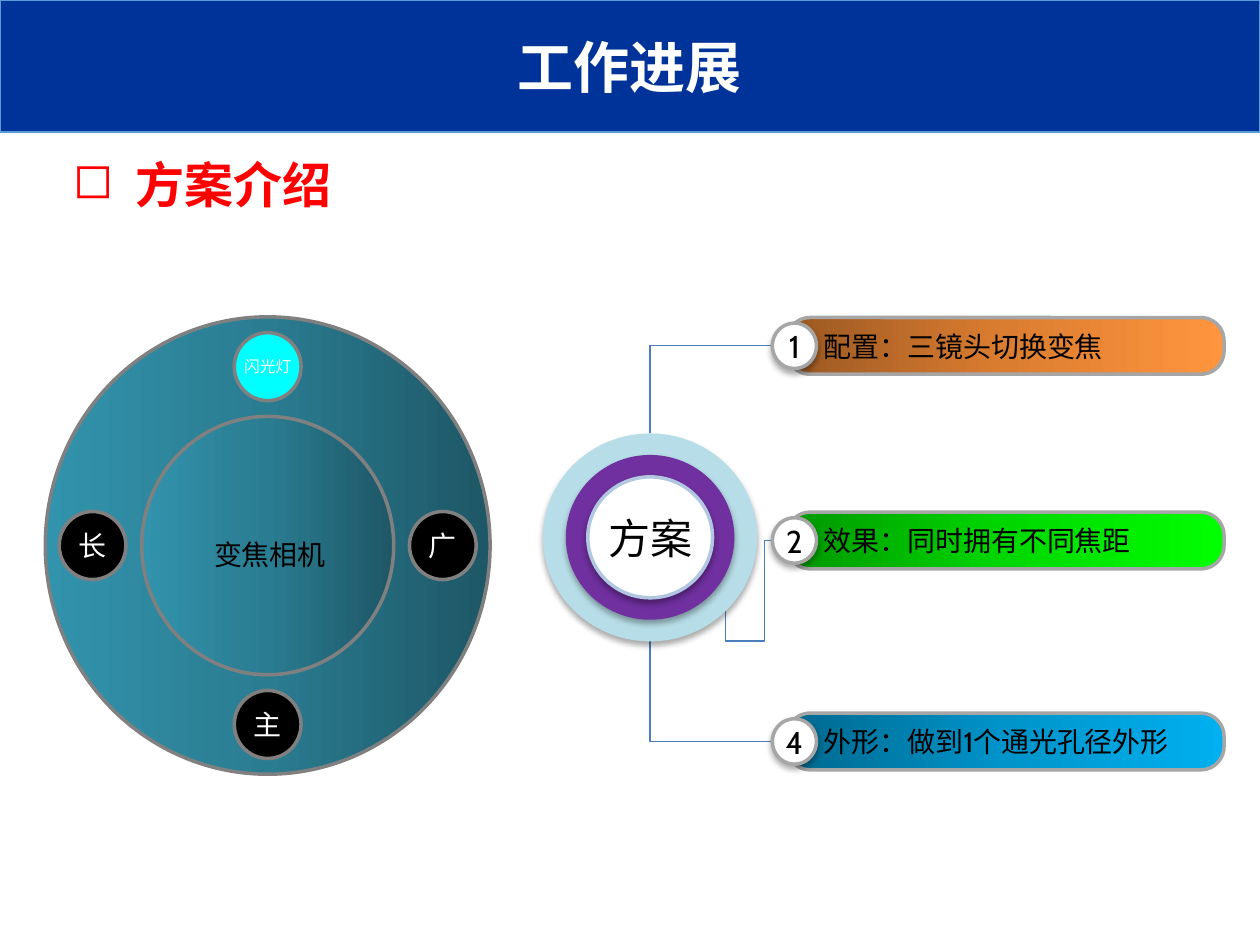
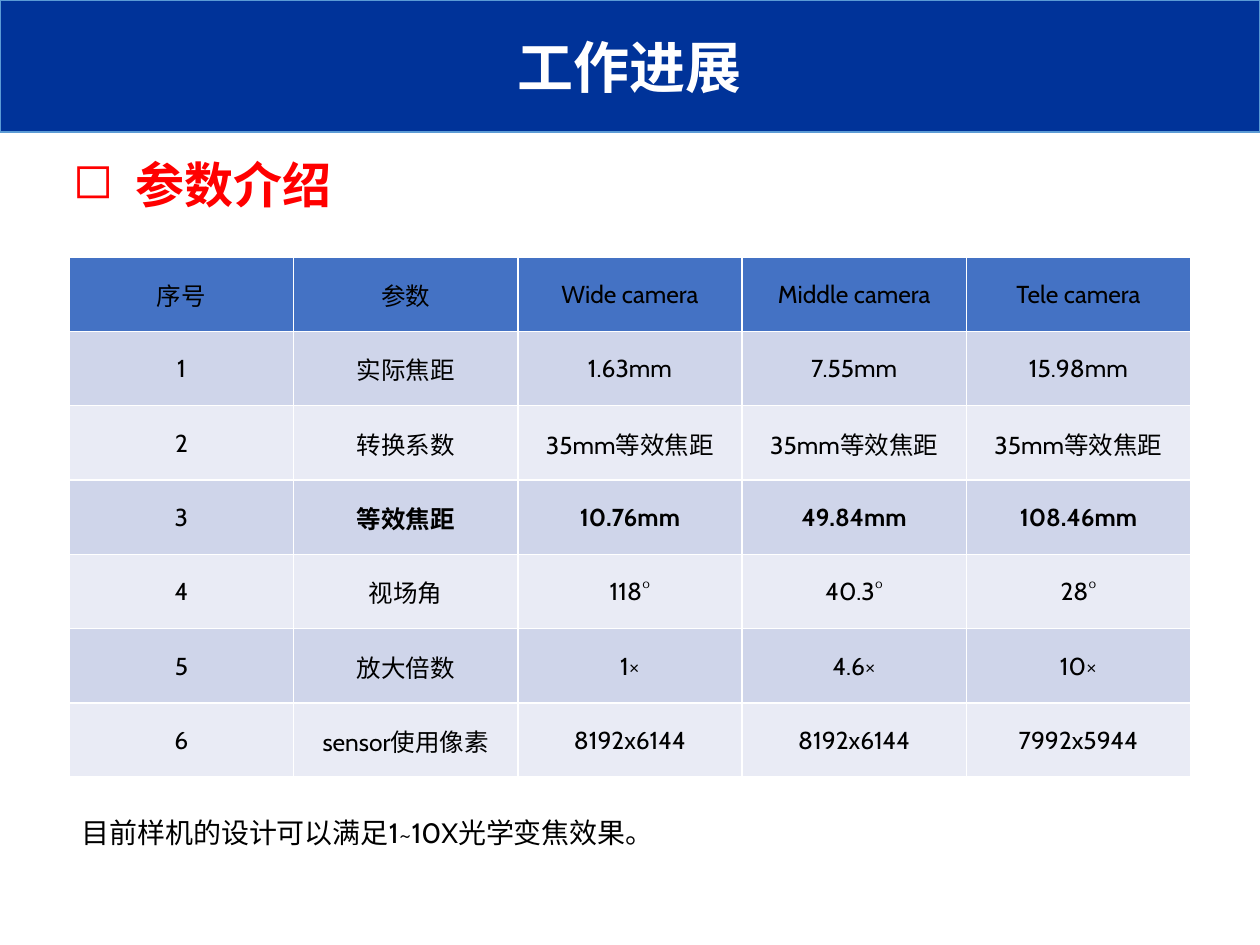
from lxml import etree
from pptx import Presentation
from pptx.dml.color import RGBColor
from pptx.enum.shapes import MSO_CONNECTOR, MSO_SHAPE
from pptx.enum.text import MSO_ANCHOR, MSO_AUTO_SIZE, PP_ALIGN
from pptx.oxml.ns import qn
from pptx.util import Inches, Pt

LEFT, CENTER = PP_ALIGN.LEFT, PP_ALIGN.CENTER
TOP, MIDDLE = MSO_ANCHOR.TOP, MSO_ANCHOR.MIDDLE
FIXED = MSO_AUTO_SIZE.NONE
OVAL, ROUNDED = MSO_SHAPE.OVAL, MSO_SHAPE.ROUNDED_RECTANGLE
ELBOW = MSO_CONNECTOR.ELBOW

# Grid: 100 columns by 75 rows of square cells
WIDTH, HEIGHT = Inches(10), Inches(7.5)
CELL = WIDTH / 100

# Fonts and colours
LATIN, CHINESE = "Cabin", "Noto Sans CJK SC"
BLACK = RGBColor(0x00, 0x00, 0x00)
WHITE = RGBColor(0xFF, 0xFF, 0xFF)
RED = RGBColor(0xFF, 0x00, 0x00)
BAND_BLUE = RGBColor(0x00, 0x33, 0x99)
BAND_EDGE = RGBColor(0x5B, 0x9B, 0xD5)
GREY = RGBColor(0x80, 0x80, 0x80)
SILVER = RGBColor(0xA6, 0xA6, 0xA6)
CYAN = RGBColor(0x00, 0xFF, 0xFF)
PALE_BLUE = RGBColor(0xB7, 0xDE, 0xE8)
PURPLE = RGBColor(0x70, 0x30, 0xA0)
HUB_EDGE = RGBColor(0xB0, 0xC6, 0xE1)
LINK_BLUE = RGBColor(0x4B, 0x7E, 0xBC)
HEADER_BLUE = RGBColor(0x44, 0x72, 0xC4)
ROW_DARK = RGBColor(0xCF, 0xD5, 0xEA)
ROW_LIGHT = RGBColor(0xE9, 0xEB, 0xF5)
TEAL_SHADES = [RGBColor(0x1E, 0x57, 0x66), RGBColor(0x2A, 0x7C, 0x91), RGBColor(0x32, 0x93, 0xAC)]
ORANGE_SHADES = [RGBColor(0x9A, 0x58, 0x22), RGBColor(0xDB, 0x7D, 0x30), RGBColor(0xFF, 0x95, 0x3E)]
GREEN_SHADES = [RGBColor(0x00, 0x97, 0x00), RGBColor(0x00, 0xD7, 0x00), RGBColor(0x00, 0xFF, 0x00)]
BLUE_SHADES = [RGBColor(0x00, 0x68, 0x8E), RGBColor(0x00, 0x94, 0xCA), RGBColor(0x00, 0xB0, 0xF0)]

# Content
TITLE = "工作进展"
PLANS = [  # badge, text, shades, centre row
    ("1", "配置：三镜头切换变焦", ORANGE_SHADES, 27.45),
    ("2", "效果：同时拥有不同焦距", GREEN_SHADES, 42.9),
    ("4", "外形：做到1个通光孔径外形", BLUE_SHADES, 58.85),
]
PARAMETERS = [
    ("序号", "参数", "Wide camera", "Middle camera", "Tele camera"),
    ("1", "实际焦距", "1.63mm", "7.55mm", "15.98mm"),
    ("2", "转换系数") + ("35mm等效焦距",) * 3,
    ("3", "等效焦距", "10.76mm", "49.84mm", "108.46mm"),
    ("4", "视场角", "118°", "40.3°", "28°"),
    ("5", "放大倍数", "1×", "4.6×", "10×"),
    ("6", "sensor使用像素", "8192x6144", "8192x6144", "7992x5944"),
]
KEY_ROW = 3


def grid(*cells):
    return [round(cell * CELL) for cell in cells]


def add_child(parent, tag, **attributes):
    child = etree.SubElement(parent, qn(tag))
    for name, value in attributes.items():
        child.set(name, str(value))
    return child


def write(frame, text, size=16, color=BLACK, bold=False, font=LATIN,
          align=LEFT, anchor=TOP, margins=None, wrap=True):
    frame.word_wrap = wrap
    frame.vertical_anchor = anchor
    if margins is not None:
        (frame.margin_left, frame.margin_top,
         frame.margin_right, frame.margin_bottom) = grid(*margins)
    para = frame.paragraphs[0]
    para.alignment = align
    span = para.add_run()
    span.text = text
    span.font.size = Pt(size)
    span.font.bold = bold
    span.font.color.rgb = color
    span.font.name = font
    add_child(span.font._element, "a:ea", typeface=CHINESE)
    return para


def paint(shape, fill, line, line_width):
    if fill is None:
        shape.fill.background()
    else:
        shape.fill.solid()
        shape.fill.fore_color.rgb = fill
    if line is None:
        shape.line.fill.background()
    else:
        shape.line.color.rgb = line
        shape.line.width = Pt(line_width)


def shade(shape, colors, angle):
    """Fill with evenly spaced gradient stops."""
    shape.fill.gradient()
    shape.fill.gradient_angle = angle
    stops = shape._element.spPr.find(".//" + qn("a:gsLst"))
    for stop in list(stops):
        stops.remove(stop)
    for index, color in enumerate(colors):
        stop = add_child(stops, "a:gs", pos=index * 100000 // (len(colors) - 1))
        add_child(stop, "a:srgbClr", val=color)


def add_shadow(shape):
    effects = shape._element.spPr.find(qn("a:effectLst"))
    shadow = add_child(effects, "a:outerShdw", blurRad=Pt(3.5), dist=Pt(2.2),
                       dir=90 * 60000, rotWithShape=0)
    add_child(add_child(shadow, "a:srgbClr", val=BLACK), "a:alpha", val=32000)


def add_circle(slide, center, size, fill=None, line=None, line_width=2, shadow=False):
    (x, y), (width, height) = center, size
    circle = slide.shapes.add_shape(
        OVAL, *grid(x - width / 2, y - height / 2, width, height))
    circle.shadow.inherit = False
    paint(circle, fill, line, line_width)
    if shadow:
        add_shadow(circle)
    return circle


def label(circle, text, size, color=BLACK):
    write(circle.text_frame, text, size=size, color=color, align=CENTER,
          anchor=MIDDLE, margins=(0, 0, 0, 0), wrap=False)


def add_text(slide, text, left, top, width, height, **style):
    box = slide.shapes.add_textbox(*grid(left, top, width, height))
    return write(box.text_frame, text, **style)


def add_link(slide, start, end, preset, **adjustments):
    """Elbow line that leaves a badge sideways and meets the hub vertically."""
    link = slide.shapes.add_connector(ELBOW, *grid(*start, *end))
    link.line.color.rgb = LINK_BLUE
    link.line.width = Pt(0.75)
    properties = link._element.spPr
    geometry = properties.find(qn("a:prstGeom"))
    geometry.set("prst", preset)
    guides = geometry.find(qn("a:avLst"))
    for name, share in adjustments.items():
        add_child(guides, "a:gd", name=name, fmla=f"val {round(share * 100000)}")
    add_child(properties, "a:effectLst")


def add_page(deck, heading):
    page = deck.slides.add_slide(deck.slide_layouts[5])
    # Title band
    band = page.shapes.title
    band.left, band.top, band.width, band.height = grid(0, 0, 100, 10.5)
    paint(band, BAND_BLUE, BAND_EDGE, 1)
    write(band.text_frame, TITLE, size=32, color=WHITE, bold=True, font=CHINESE,
          align=CENTER, anchor=MIDDLE)
    band.text_frame.auto_size = FIXED
    # Bulleted heading
    para = add_text(page, heading, 0, 11.8, 50.4, 5.7, size=28, color=RED,
                    bold=True, font=CHINESE)
    properties = para._p.get_or_add_pPr()
    properties.set("marL", str(Inches(0.98)))
    properties.set("indent", str(Inches(-0.5)))
    add_child(properties, "a:buChar", char="◻")
    return page


def draw_camera(page):
    x, y = center = (21.25, 43.3)
    for size in ((35.3, 36.3), (20, 20.5)):
        disc = add_circle(page, center, size, line=GREY)
        shade(disc, TEAL_SHADES, 180)
    lenses = [
        ("闪光灯", 9, CYAN, 0, -1), ("广", 16, BLACK, 1, 0),
        ("主", 16, BLACK, 0, 1), ("长", 16, BLACK, -1, 0),
    ]
    for text, size, fill, across, down in lenses:
        lens = add_circle(page, (x + 13.9 * across, y + 14.2 * down), (5.3, 5.4), fill, GREY)
        label(lens, text, size, WHITE)
    add_text(page, "变焦相机", 16, 42.2, 11.5, 3.7)


def draw_plans(page):
    x, y = hub = (51.6, 42.65)
    hub_height, badge_x, badge_width = 16.5, 63.05, 3.5
    badge_left = badge_x - badge_width / 2

    # Links, behind the hub and badges
    top_row, middle_row, bottom_row = [plan[3] for plan in PLANS]
    add_link(page, (badge_left, top_row), (x, y - hub_height / 2), "bentConnector2")
    add_link(page, (badge_left, middle_row), (57.6, 48.4), "bentConnector4",
             adj1=0.16, adj2=1.45)
    add_link(page, (badge_left, bottom_row), (x, y + hub_height / 2), "bentConnector2")

    # Hub
    add_circle(page, hub, (17, hub_height), PALE_BLUE, shadow=True)
    add_circle(page, hub, (11.3, 11), line=PURPLE, line_width=15, shadow=True)
    core = add_circle(page, hub, (9.9, 9.6), WHITE, HUB_EDGE, shadow=True)
    label(core, "方案", 24)

    # Bars with numbered badges
    for number, text, shades, row in PLANS:
        bar = page.shapes.add_shape(ROUNDED, *grid(62.45, row - 2.25, 34.7, 4.5))
        bar.adjustments[0] = 0.41
        bar.shadow.inherit = False
        paint(bar, None, SILVER, 2)
        shade(bar, shades, 0)
        write(bar.text_frame, text, anchor=MIDDLE, margins=(2.4, 0.5, 0, 0.5))
        badge = add_circle(page, (badge_x, row), (badge_width, 3.6), WHITE, SILVER, shadow=True)
        label(badge, number, 18)


def draw_parameters(page):
    rows, columns = len(PARAMETERS), len(PARAMETERS[0])
    frame = page.shapes.add_table(rows, columns, *grid(5.5, 20.4, 89, 41.3))
    for row, values in enumerate(PARAMETERS):
        for column, value in enumerate(values):
            cell = frame.table.cell(row, column)
            cell.fill.solid()
            cell.fill.fore_color.rgb = (
                HEADER_BLUE if row == 0 else ROW_DARK if row % 2 else ROW_LIGHT)
            cell.vertical_anchor = MIDDLE
            cell.margin_left = cell.margin_top = cell.margin_right = Inches(0.01)
            cell.margin_bottom = 0
            write(cell.text_frame, value, size=14, align=CENTER, anchor=None,
                  bold=row == KEY_ROW and column > 0, wrap=None)


def main():
    deck = Presentation()
    deck.slide_width, deck.slide_height = WIDTH, HEIGHT

    plan_page = add_page(deck, "方案介绍")
    draw_camera(plan_page)
    draw_plans(plan_page)

    parameter_page = add_page(deck, "参数介绍")
    draw_parameters(parameter_page)
    add_text(parameter_page, "目前样机的设计可以满足1~10X光学变焦效果。", 5.5, 64.2, 54.9, 3.7)

    deck.save("out.pptx")


if __name__ == "__main__":
    main()
